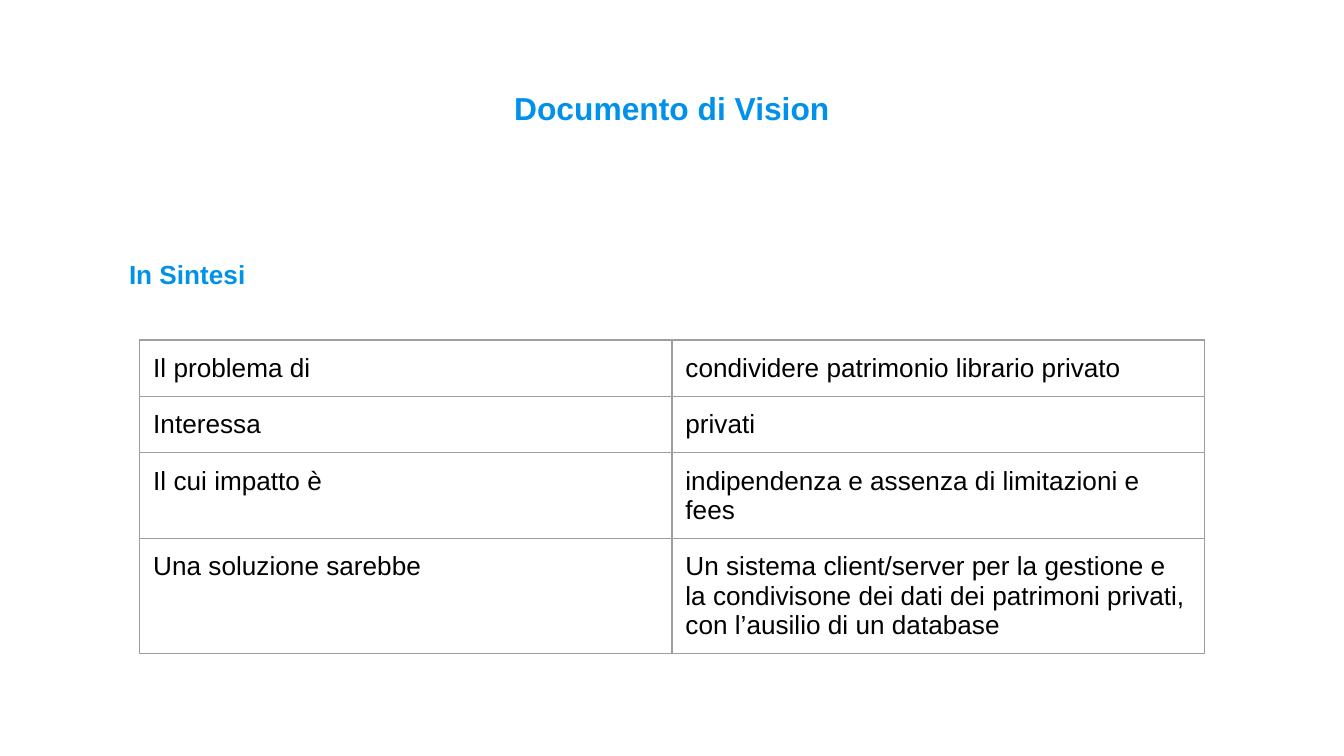
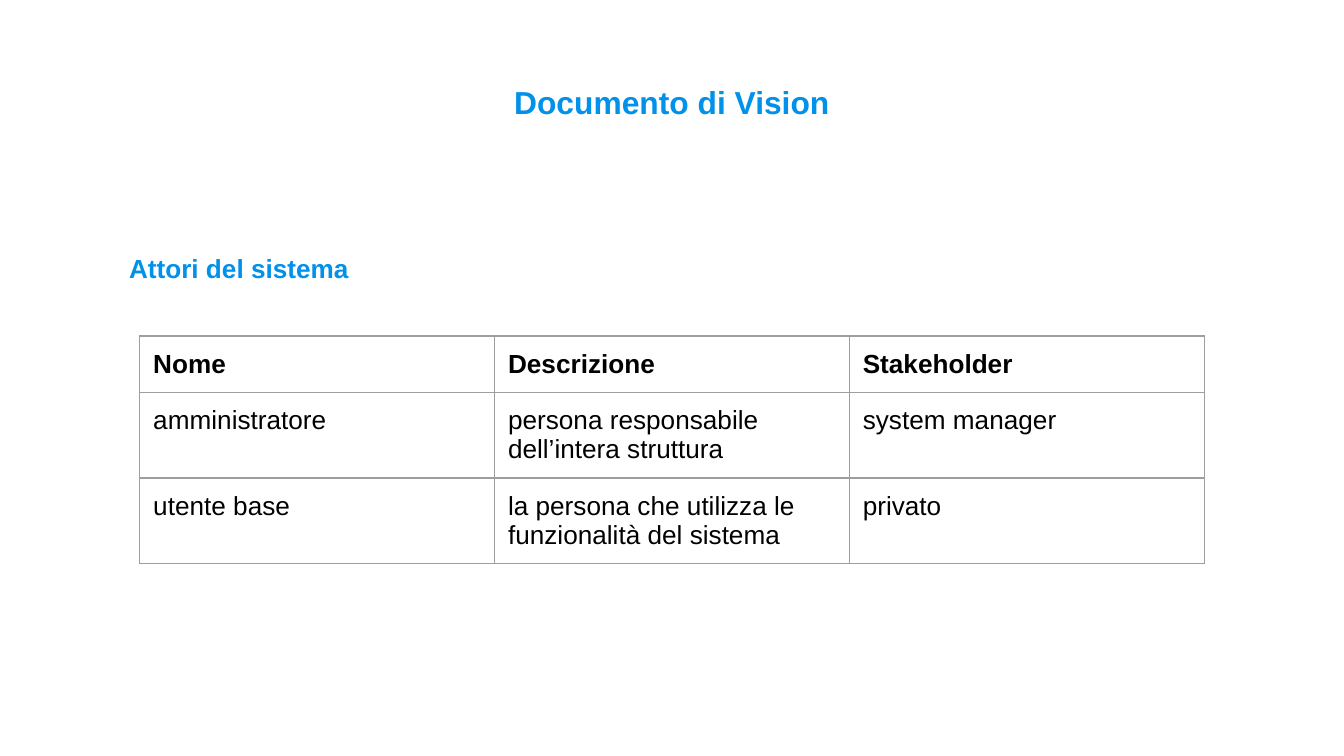
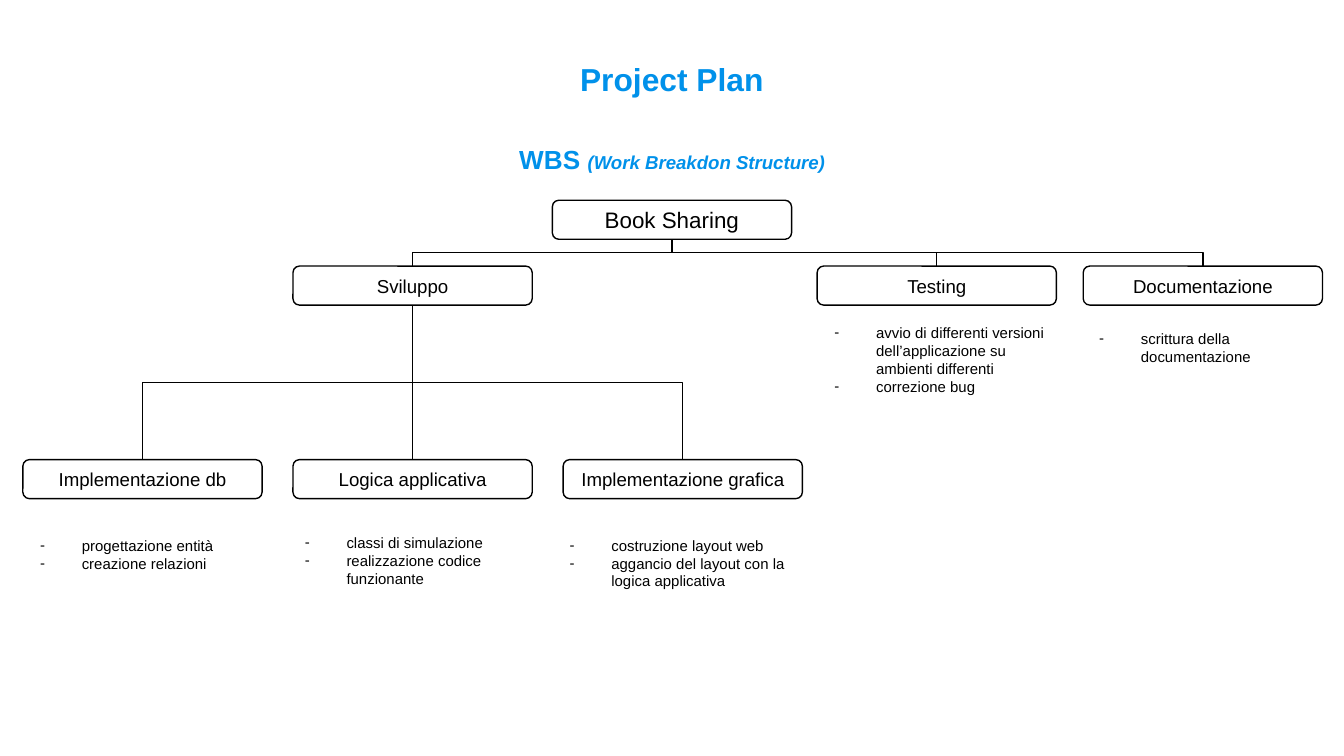
import pptx
import pptx.dml.color
import pptx.enum.shapes
import pptx.enum.text
import pptx.oxml.ns
import pptx.util
from dataclasses import dataclass
from lxml import etree

Inches = pptx.util.Inches
Pt = pptx.util.Pt
qn = pptx.oxml.ns.qn
ALIGN = pptx.enum.text.PP_ALIGN
ANCHOR = pptx.enum.text.MSO_ANCHOR


@dataclass(frozen=True)
class Theme:
    font: str = "Arial"
    accent: str = "0091EA"
    ink: str = "000000"
    paper: str = "FFFFFF"
    grid: str = "9E9E9E"
    title: int = 17
    heading: int = 14
    root: int = 12
    box: int = 10
    note: int = 8
    line: float = 0.75
    inset: float = 0.1


THEME = Theme()

# Content: headings are a string or (text, format) runs
TABLE_SLIDES = [
    {
        "title": "Documento di Vision",
        "heading": "In Sintesi",
        "title_inset": 0.28,
        "table_top": 2.53,
        "header": False,
        "rows": [
            ("Il problema di", "condividere patrimonio librario privato"),
            ("Interessa", "privati"),
            ("Il cui impatto è", "indipendenza e assenza di limitazioni e fees"),
            ("Una soluzione sarebbe",
             "Un sistema client/server per la gestione e la condivisone dei dati "
             "dei patrimoni privati, con l’ausilio di un database"),
        ],
    },
    {
        "title": "Documento di Vision",
        "heading": "Attori del sistema",
        "title_inset": 0.23,
        "table_top": 2.5,
        "header": True,
        "rows": [
            ("Nome", "Descrizione", "Stakeholder"),
            ("amministratore", "persona responsabile dell’intera struttura",
             "system manager"),
            ("utente base", "la persona che utilizza le funzionalità del sistema",
             "privato"),
        ],
    },
]

PLAN_TITLE = "Project Plan"
PLAN_HEADING = [("WBS ", {"size": THEME.heading}),
                ("(Work Breakdon Structure)", {"size": THEME.box, "italic": True})]
PLAN_INSET = 0.06

# Work packages: name, parent, left, top
PACKAGES = [
    ("Book Sharing", None, 4.11, 1.49),
    ("Sviluppo", "Book Sharing", 2.18, 1.98),
    ("Testing", "Book Sharing", 6.08, 1.98),
    ("Documentazione", "Book Sharing", 8.06, 1.98),
    ("Implementazione db", "Sviluppo", 0.17, 3.42),
    ("Logica applicativa", "Sviluppo", 2.18, 3.42),
    ("Implementazione grafica", "Sviluppo", 4.19, 3.42),
]

# Activities from left to right: top, items
ACTIVITIES = [
    (3.89, ["progettazione entità", "creazione relazioni"]),
    (3.87, ["classi di simulazione", "realizzazione codice funzionante"]),
    (3.89, ["costruzione layout web", "aggancio del layout con la logica applicativa"]),
    (2.31, ["avvio di differenti versioni dell’applicazione su ambienti differenti",
            "correzione bug"]),
    (2.35, ["scrittura della documentazione"]),
]

# Layout, in inches; the slide is 16:9
SLIDE_WIDTH = 10
SLIDE_HEIGHT = SLIDE_WIDTH * 9 / 16
TITLE_AREA = (0.86, 0.34, 8.28, 4.91)
TABLE_LEFT, TABLE_WIDTH, ROW_HEIGHT = 1.04, 7.92, 0.42
PACKAGE_SIZE = (1.78, 0.29)
NOTE_LEFT, NOTE_STEP, NOTE_SIZE = 0.01, 1.97, (2.09, 1.01)
NOTE_INDENT, NOTE_HANGING = 0.5, 0.31


def color(value):
    return pptx.dml.color.RGBColor.from_string(value)


def add_bullet(paragraph):
    properties = paragraph._p.get_or_add_pPr()
    properties.set("marL", str(Inches(NOTE_INDENT)))
    properties.set("indent", str(-Inches(NOTE_HANGING)))
    bullet_color = etree.SubElement(properties, qn("a:buClr"))
    etree.SubElement(bullet_color, qn("a:srgbClr"), val=THEME.ink)
    etree.SubElement(properties, qn("a:buFont"), typeface=THEME.font)
    etree.SubElement(properties, qn("a:buChar"), char="-")


def write(frame, text, *, first=True, size=THEME.heading, ink=THEME.ink, bold=False,
          align=ALIGN.LEFT, bullet=False, spacing=1.0, before=0, after=0):
    """Write one paragraph; text is a string or a list of (text, format) runs."""
    paragraph = frame.paragraphs[0] if first else frame.add_paragraph()
    if bullet:
        add_bullet(paragraph)
    paragraph.alignment = align
    paragraph.line_spacing = spacing
    paragraph.space_before, paragraph.space_after = Pt(before), Pt(after)
    for content, style in [(text, {})] if isinstance(text, str) else text:
        run = paragraph.add_run()
        run.text = content
        run.font.name = THEME.font
        run.font.size = Pt(style.get("size", size))
        run.font.bold = bold
        run.font.italic = style.get("italic", False)
        run.font.color.rgb = color(ink)


def set_frame(frame, anchor, top=THEME.inset):
    frame.word_wrap = True
    frame.auto_size = pptx.enum.text.MSO_AUTO_SIZE.NONE
    frame.vertical_anchor = anchor
    frame.margin_left = frame.margin_right = frame.margin_bottom = Inches(THEME.inset)
    frame.margin_top = Inches(top)


def add_titled_slide(presentation, title, heading, *, inset, gap, align):
    slide = presentation.slides.add_slide(presentation.slide_layouts[5])
    slide.background.fill.solid()
    slide.background.fill.fore_color.rgb = color(THEME.paper)
    shape = slide.shapes.title
    shape.left, shape.top, shape.width, shape.height = map(Inches, TITLE_AREA)
    set_frame(shape.text_frame, ANCHOR.TOP, inset)
    shared = {"ink": THEME.accent, "bold": True, "spacing": 1.15, "after": 4}
    write(shape.text_frame, title, size=THEME.title, align=ALIGN.CENTER, **shared)
    write(shape.text_frame, heading, first=False, before=gap, align=align, **shared)
    return slide


def set_borders(cell):
    properties = cell._tc.get_or_add_tcPr()
    for index, side in enumerate(("lnL", "lnR", "lnT", "lnB")):
        line = etree.Element(qn(f"a:{side}"), w=str(Pt(THEME.line)))
        fill = etree.SubElement(line, qn("a:solidFill"))
        etree.SubElement(fill, qn("a:srgbClr"), val=THEME.grid)
        properties.insert(index, line)


def add_grid(slide, rows, top, header):
    columns = len(rows[0])
    table = slide.shapes.add_table(
        len(rows), columns, Inches(TABLE_LEFT), Inches(top),
        Inches(TABLE_WIDTH), Inches(ROW_HEIGHT * len(rows))).table
    table.first_row = header
    table.horz_banding = False
    for column in table.columns:
        column.width = Inches(TABLE_WIDTH / columns)
    for row_index, row in enumerate(rows):
        table.rows[row_index].height = Inches(ROW_HEIGHT)
        for column_index, text in enumerate(row):
            cell = table.cell(row_index, column_index)
            cell.fill.background()
            set_borders(cell)
            cell.margin_left = cell.margin_right = Inches(THEME.inset)
            cell.margin_top = cell.margin_bottom = Inches(THEME.inset)
            write(cell.text_frame, text, bold=header and row_index == 0)


def set_line(shape):
    shape.line.color.rgb = color(THEME.ink)
    shape.line.width = Pt(THEME.line)


def add_package(slide, name, left, top, size):
    shape = slide.shapes.add_shape(
        pptx.enum.shapes.MSO_SHAPE.ROUNDED_RECTANGLE,
        Inches(left), Inches(top), *map(Inches, PACKAGE_SIZE))
    shape.shadow.inherit = False
    shape.fill.background()
    set_line(shape)
    set_frame(shape.text_frame, ANCHOR.MIDDLE)
    write(shape.text_frame, name, size=size, align=ALIGN.CENTER)
    return shape


def add_branch(slide, parent, child):
    """Join parent bottom to child top with an elbow that starts downwards."""
    start_x, start_y = parent.left + parent.width // 2, parent.top + parent.height
    end_x, end_y = child.left + child.width // 2, child.top
    connector = slide.shapes.add_connector(
        pptx.enum.shapes.MSO_CONNECTOR.ELBOW, start_x, start_y, end_x, end_y)
    connector.begin_connect(parent, 2)
    connector.end_connect(child, 0)
    # A quarter turn makes the elbow leave vertically
    to_left = end_x < start_x
    connector.width, connector.height = end_y - start_y, abs(end_x - start_x)
    connector.left = (start_x + end_x - connector.width) // 2
    connector.top = (start_y + end_y - connector.height) // 2
    connector.rotation = 90 if to_left else 270
    properties = connector._element.spPr
    properties.find(qn("a:xfrm")).set("flipH", "0" if to_left else "1")
    set_line(connector)
    etree.SubElement(properties, qn("a:effectLst"))


def add_activities(slide, left, top, items):
    box = slide.shapes.add_textbox(Inches(left), Inches(top), *map(Inches, NOTE_SIZE))
    set_frame(box.text_frame, ANCHOR.TOP)
    for index, item in enumerate(items):
        write(box.text_frame, item, first=index == 0, size=THEME.note, bullet=True)


def main():
    presentation = pptx.Presentation()
    presentation.slide_width = Inches(SLIDE_WIDTH)
    presentation.slide_height = Inches(SLIDE_HEIGHT)

    # Vision tables
    for content in TABLE_SLIDES:
        slide = add_titled_slide(presentation, content["title"], content["heading"],
                                 inset=content["title_inset"], gap=64, align=ALIGN.LEFT)
        add_grid(slide, content["rows"], content["table_top"], content["header"])

    # Work breakdown structure
    slide = add_titled_slide(presentation, PLAN_TITLE, PLAN_HEADING,
                             inset=PLAN_INSET, gap=18, align=ALIGN.CENTER)
    packages = {}
    for name, parent, left, top in PACKAGES:
        size = THEME.box if parent else THEME.root
        packages[name] = add_package(slide, name, left, top, size)
        if parent:
            add_branch(slide, packages[parent], packages[name])
    for index, (top, items) in enumerate(ACTIVITIES):
        add_activities(slide, NOTE_LEFT + index * NOTE_STEP, top, items)

    presentation.save("out.pptx")


if __name__ == "__main__":
    main()
